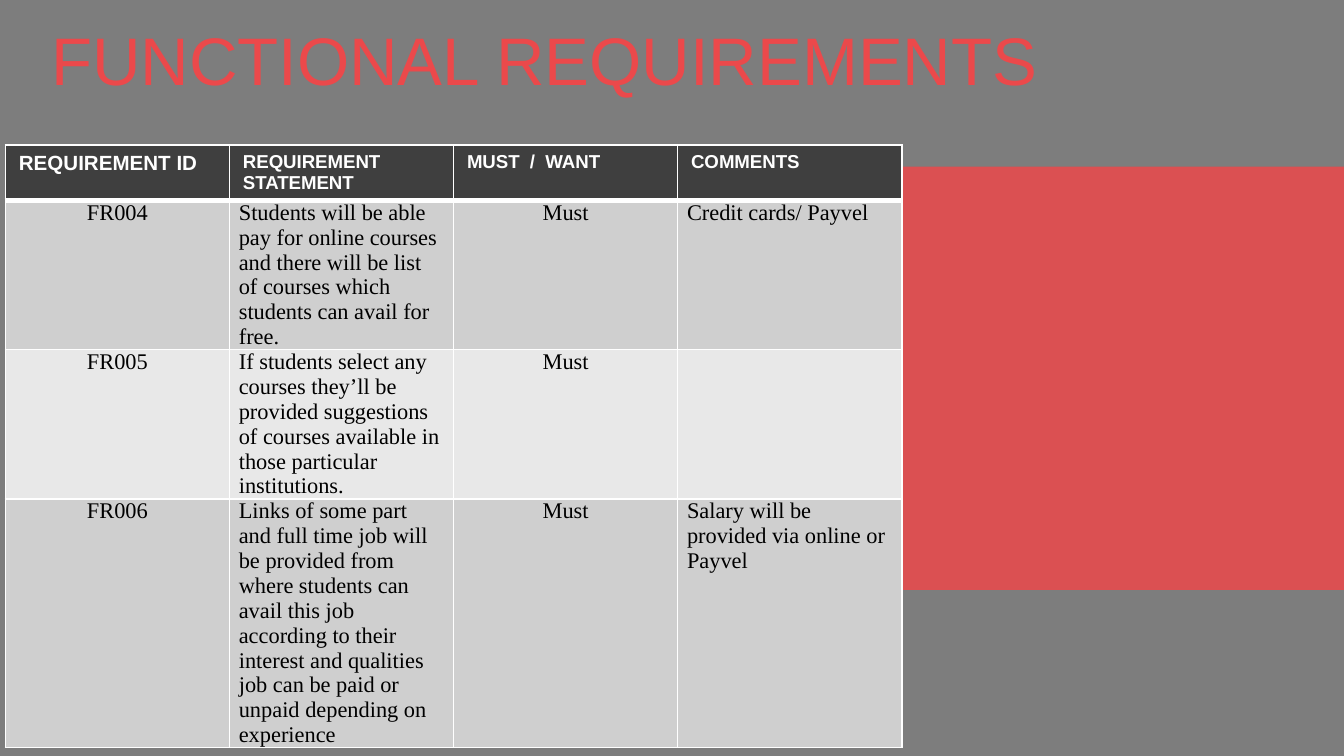
import pptx
import pptx.dml.color
import pptx.enum.shapes
import pptx.enum.text
import pptx.oxml
import pptx.oxml.ns
import pptx.util
from lxml import etree

Inches = pptx.util.Inches
Pt = pptx.util.Pt
ALIGN = pptx.enum.text.PP_ALIGN
ANCHOR = pptx.enum.text.MSO_ANCHOR

TITLE = "FUNCTIONAL REQUIREMENTS"
HEADINGS = ["REQUIREMENT ID", "REQUIREMENT STATEMENT", "MUST  /  WANT", "COMMENTS"]
REQUIREMENTS = [
    ("FR004",
     "Students will be able pay for online courses and there will be list of "
     "courses which students can avail for free.",
     "Must", "Credit cards/ Payvel"),
    ("FR005",
     "If students select any courses they’ll be provided suggestions of courses "
     "available in those particular institutions.",
     "Must", ""),
    ("FR006",
     "Links of some part and full time job will be provided from where students "
     "can avail this job according to their interest and qualities job can be "
     "paid or unpaid depending on experience",
     "Must", "Salary will be provided via online or Payvel"),
]
CENTERED_COLUMNS = (0, 2)

THEME = {
    "backdrop": "404040", "accent": "EB494B", "header": "3F3F3F",
    "bands": ("CFCFCF", "E8E8E8"), "light": "FFFFFF", "ink": "000000",
    "heading_font": "Arial", "body_font": "Times New Roman",
    "title_size": 36, "id_heading_size": 11, "heading_size": 10, "body_size": 12,
}

SLIDE_WIDTH = 10
SLIDE_HEIGHT = SLIDE_WIDTH * 9 / 16
TABLE_LEFT, TABLE_TOP, TABLE_WIDTH = 0.04, 1.08, 6.67
ROW_HEIGHTS = [0.41, 1.11, 1.11, 1.85]


def rgb(color):
    return pptx.dml.color.RGBColor.from_string(color)


def write(frame, text, *, font, size, color, bold=False, align=ALIGN.LEFT, after=0):
    paragraph = frame.paragraphs[0]
    paragraph.alignment = align
    paragraph.space_after = Pt(after)
    run = paragraph.add_run()
    run.text = text
    run.font.name = font
    run.font.size = Pt(size)
    run.font.bold = bold
    run.font.color.rgb = rgb(color)


def add_panel(slide, box, color, opacity):
    """Add a borderless rectangle; opacity is a percentage."""
    panel = slide.shapes.add_shape(
        pptx.enum.shapes.MSO_SHAPE.RECTANGLE, *map(Inches, box))
    panel.shadow.inherit = False
    panel.line.fill.background()
    panel.fill.solid()
    panel.fill.fore_color.rgb = rgb(color)
    srgb = panel.element.spPr.find(".//" + pptx.oxml.ns.qn("a:srgbClr"))
    etree.SubElement(srgb, pptx.oxml.ns.qn("a:alpha"), val=str(opacity * 1000))


def set_borders(cell, widths):
    """Draw the cell's borders; widths maps L, R, T, B to points, in that order."""
    properties = cell._tc.get_or_add_tcPr()
    for position, (side, width) in enumerate(widths.items()):
        properties.insert(position, pptx.oxml.parse_xml(
            f'<a:ln{side} {pptx.oxml.ns.nsdecls("a")} w="{Pt(width)}">'
            f'<a:solidFill><a:srgbClr val="{THEME["light"]}"/></a:solidFill>'
            f'</a:ln{side}>'))


def fill_cell(cell, text, row, column):
    heading = row == 0
    cell.fill.solid()
    cell.fill.fore_color.rgb = rgb(
        THEME["header"] if heading else THEME["bands"][(row - 1) % 2])
    set_borders(cell, {"L": 1, "R": 1, "T": 3 if row == 1 else 1, "B": 3 if heading else 1})
    if heading:
        size = THEME["id_heading_size" if column == 0 else "heading_size"]
        write(cell.text_frame, text, font=THEME["heading_font"], size=size,
              color=THEME["light"], bold=True)
    elif text:
        cell.margin_left = cell.margin_right = Inches(0.07)
        cell.margin_top = cell.margin_bottom = 0
        write(cell.text_frame, text, font=THEME["body_font"], size=THEME["body_size"],
              color=THEME["ink"], after=6,
              align=ALIGN.CENTER if column in CENTERED_COLUMNS else ALIGN.LEFT)


def add_title(slide):
    title = slide.shapes.title
    title.left, title.top, title.width, title.height = map(Inches, (0.28, 0.12, 9.37, 0.63))
    title.text_frame.auto_size = pptx.enum.text.MSO_AUTO_SIZE.NONE
    title.text_frame.vertical_anchor = ANCHOR.MIDDLE
    write(title.text_frame, TITLE, font=THEME["heading_font"],
          size=THEME["title_size"], color=THEME["accent"])
    # Bring the title in front of the panels.
    title.element.getparent().append(title.element)


def add_requirements(slide):
    rows = [HEADINGS, *REQUIREMENTS]
    table = slide.shapes.add_table(
        len(rows), len(HEADINGS), Inches(TABLE_LEFT), Inches(TABLE_TOP),
        Inches(TABLE_WIDTH), Inches(sum(ROW_HEIGHTS))).table
    table.horz_banding = False
    for row, (texts, height) in enumerate(zip(rows, ROW_HEIGHTS)):
        table.rows[row].height = Inches(height)
        for column, text in enumerate(texts):
            fill_cell(table.cell(row, column), text, row, column)


def main():
    deck = pptx.Presentation()
    deck.slide_width, deck.slide_height = Inches(SLIDE_WIDTH), Inches(SLIDE_HEIGHT)
    slide = deck.slides.add_slide(deck.slide_layouts[5])
    add_panel(slide, (0, 0, SLIDE_WIDTH, SLIDE_HEIGHT), THEME["backdrop"], 68)
    add_panel(slide, (5.31, 1.24, 4.69, 3.15), THEME["accent"], 86)
    add_title(slide)
    add_requirements(slide)
    deck.save("out.pptx")


if __name__ == "__main__":
    main()
